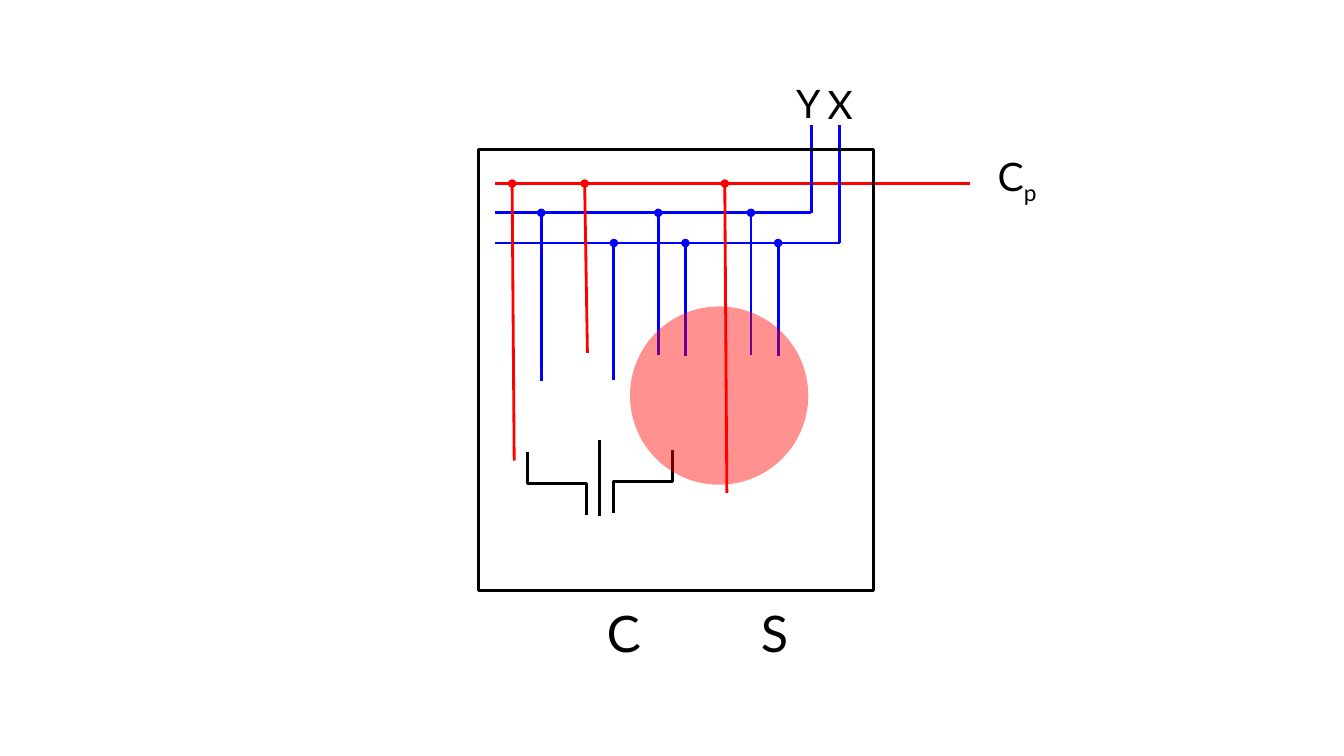
from lxml import etree
from pptx import Presentation
from pptx.dml.color import RGBColor
from pptx.enum.shapes import MSO_CONNECTOR, MSO_SHAPE
from pptx.enum.text import MSO_ANCHOR, MSO_AUTO_SIZE, PP_ALIGN
from pptx.oxml.ns import qn
from pptx.util import Pt

STRAIGHT = MSO_CONNECTOR.STRAIGHT
RECT, OVAL = MSO_SHAPE.RECTANGLE, MSO_SHAPE.OVAL
TOP, LEFT = MSO_ANCHOR.TOP, PP_ALIGN.LEFT
GROW = MSO_AUTO_SIZE.SHAPE_TO_FIT_TEXT

BLACK = RGBColor(0, 0, 0)
WHITE = RGBColor(255, 255, 255)
RED = RGBColor(255, 0, 0)
BLUE = RGBColor(0, 0, 255)
FONT = "Lato"
STROKE = 2

# All places below are points from the top left corner of the board.
BOARD = (342, 106.6, 282.2, 315.4)
BUS_LEFT = 11.5
LEAD_TOP = -17.3
# Each bus: colour, height, right end, drops as (x, lean, bottom)
BUSES = {
    "X": (BLUE, 67, 257.8,
          [(96.5, 0, 165), (147.6, 0, 147.5), (213.8, 0, 147.5)]),
    "Y": (BLUE, 45.4, 237.6,
          [(44.6, 0, 165.6), (128.2, 0, 147), (194.4, 0, 147)]),
    "Cp": (RED, 24.5, 350.6,
           [(23.8, 1.5, 222.5), (75.6, 2, 145.4), (175.7, 1.5, 245.5)]),
}
# Each label: base, subscript, size, box, fill, rotation
LABELS = [
    ("C", "", 36, (84.2, 320.4, 36.7, 51.1), None, -2.8),
    ("S", "", 36, (194.4, 319.6, 33.8, 51.1), WHITE, 0),
    ("X", "", 28, (241.9, -52.6, 31, 41), WHITE, 0),
    ("Y", "", 28, (219.6, -53.3, 30.2, 41), WHITE, 0),
    ("C", "p", 28, (363.6, -1.5, 43.2, 41), WHITE, 0),
]


def add_line(slide, box, start, end, color, dot=False):
    """Draw a straight line, with a round dot at its start if asked."""
    x, y = box[:2]
    line = slide.shapes.add_connector(
        STRAIGHT, Pt(x + start[0]), Pt(y + start[1]),
        Pt(x + end[0]), Pt(y + end[1]))
    line.line.color.rgb = color
    line.line.width = Pt(STROKE)
    props = line._element.spPr
    if dot:
        etree.SubElement(props.find(qn("a:ln")), qn("a:headEnd"), type="oval")
    etree.SubElement(props, qn("a:effectLst"))


def add_form(slide, box, kind, place):
    x, y, wide, high = place
    form = slide.shapes.add_shape(
        kind, Pt(box[0] + x), Pt(box[1] + y), Pt(wide), Pt(high))
    form.shadow.inherit = False
    form.fill.background()
    form.line.fill.background()
    return form


def add_label(slide, box, base, sub, size, place, fill, turn):
    form = add_form(slide, box, RECT, place)
    form.rotation = turn
    if fill is not None:
        form.fill.solid()
        form.fill.fore_color.rgb = fill
    frame = form.text_frame
    frame.word_wrap = False
    frame.auto_size = GROW
    frame.vertical_anchor = TOP
    para = frame.paragraphs[0]
    para.alignment = LEFT
    para.font.name = FONT
    para.font.size = Pt(size)
    para.font.color.rgb = BLACK
    para.add_run().text = base
    if sub:
        run = para.add_run()
        run.text = sub
        run._r.get_or_add_rPr().set("baseline", "-25000")


def add_buses(slide, box):
    for color, y, right, _ in BUSES.values():
        add_line(slide, box, (right, y), (BUS_LEFT, y), color)
    for color, y, _, drops in BUSES.values():
        for x, lean, bottom in drops:
            add_line(slide, box, (x, y), (x + lean, bottom), color, dot=True)


def add_leads(slide, box):
    """Draw the lines that bring Y and X in from above the board."""
    for name in ("Y", "X"):
        color, y, right, _ = BUSES[name]
        add_line(slide, box, (right, LEAD_TOP), (right, y), color)


def add_gate(slide, box):
    """Draw the centre plate and the stepped arm on either side of it."""
    add_line(slide, box, (86.4, 208), (86.4, 262), BLACK)
    for outer, inner, top in ((138.2, 96.5, 215.2), (34.6, 77, 216.5)):
        middle, foot = top + 22.2, top + 44.5
        steps = [(outer, top), (outer, middle), (inner, middle), (inner, foot)]
        spots = [(Pt(box[0] + x), Pt(box[1] + y)) for x, y in steps]
        pen = slide.shapes.build_freeform(*spots[0])
        pen.add_line_segments(spots[1:], close=False)
        arm = pen.convert_to_shape()
        arm.shadow.inherit = False
        arm.fill.background()
        arm.line.color.rgb = BLACK
        arm.line.width = Pt(STROKE)


def add_frame(slide, box):
    frame = add_form(slide, box, RECT, (0, 0, box[2], box[3]))
    frame.line.color.rgb = BLACK
    frame.line.width = Pt(STROKE)


def add_disc(slide, box):
    disc = add_form(slide, box, OVAL, (108, 112.3, 127.4, 127.4))
    disc.fill.solid()
    disc.fill.fore_color.rgb = RED
    tint = disc._element.spPr.find(qn("a:solidFill"))[0]
    etree.SubElement(tint, qn("a:alpha"), val="43000")


def add_board(slide, box):
    add_buses(slide, box)
    for label in LABELS:
        add_label(slide, box, *label)
    add_gate(slide, box)
    add_leads(slide, box)
    add_frame(slide, box)
    add_disc(slide, box)


def main():
    deck = Presentation()
    deck.slide_width, deck.slide_height = Pt(960), Pt(540)
    slide = deck.slides.add_slide(deck.slide_layouts[6])
    add_board(slide, BOARD)
    deck.save("out.pptx")


if __name__ == "__main__":
    main()
